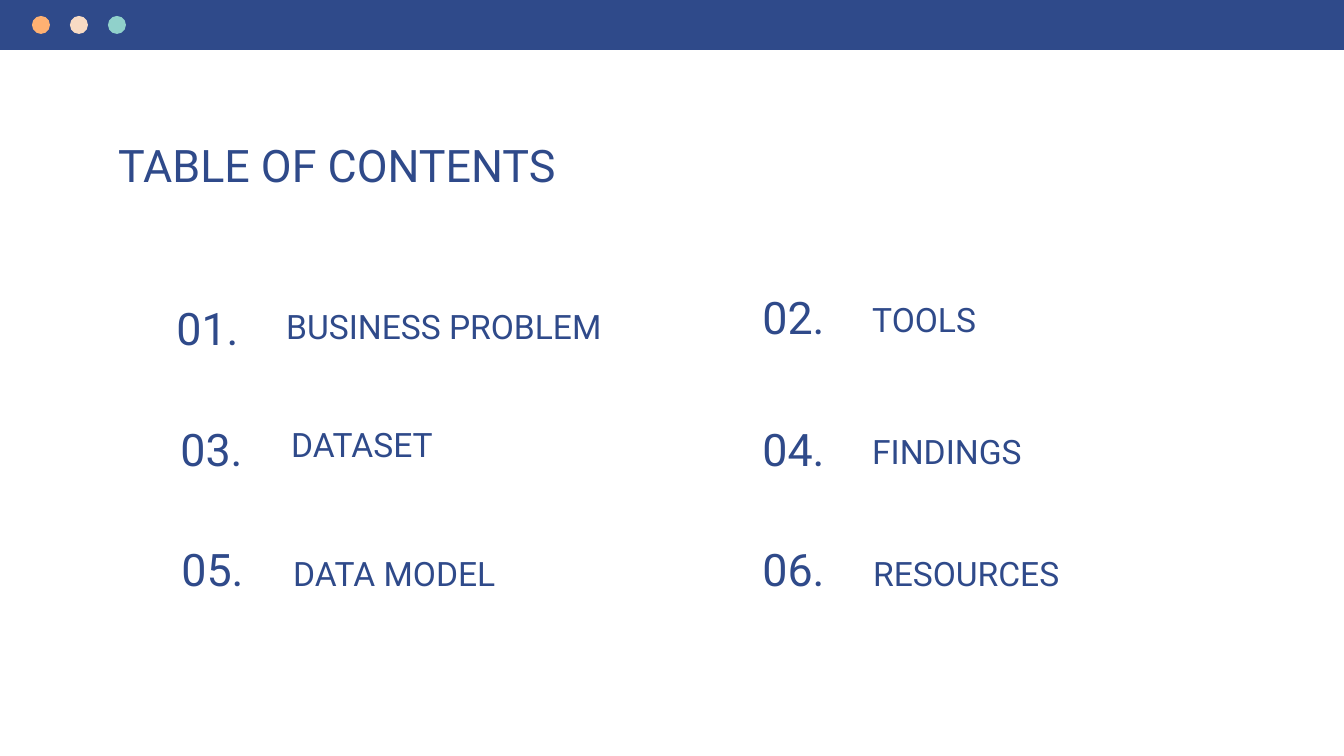
from dataclasses import dataclass

from pptx import Presentation
from pptx import util as u
from pptx.dml import color
from pptx.enum import shapes, text

EMU_PER_INCH = 914400
PX_PER_INCH = 134.4


@dataclass(frozen=True)
class Theme:
    font: str = "Roboto"
    navy: str = "2F4A8A"
    white: str = "FFFFFF"
    dots: tuple[str, ...] = ("FFB172", "F8DBC4", "90D1CB")
    heading_size: int = 24
    label_size: int = 18


@dataclass(frozen=True)
class Box:
    left: int
    top: int
    width: int
    height: int

    def emu(self) -> tuple[int, ...]:
        return tuple(px(n) for n in (self.left, self.top, self.width, self.height))


@dataclass(frozen=True)
class Entry:
    number: str
    number_at: tuple[int, int]
    label: str
    label_at: tuple[int, int]


THEME = Theme()
NUMBER_SIZE = (133, 86)
LABEL_SIZE = (400, 69)
ENTRIES = (
    Entry("01.", (141, 282), "BUSINESS PROBLEM", (273, 293)),
    Entry("02.", (727, 271), "TOOLS", (859, 286)),
    Entry("03.", (145, 403), "DATASET", (278, 411)),
    Entry("04.", (727, 403), "FINDINGS", (859, 418)),
    Entry("05.", (146, 523), "DATA MODEL", (280, 540)),
    Entry("06.", (727, 523), "RESOURCES", (860, 540)),
)


def px(length: int) -> int:
    return round(length * EMU_PER_INCH / PX_PER_INCH)


def add_filled(page, kind, box: Box, fill: str) -> None:
    shape = page.shapes.add_shape(kind, *box.emu())
    shape.shadow.inherit = False
    shape.fill.solid()
    shape.fill.fore_color.rgb = color.RGBColor.from_string(fill)
    shape.line.fill.background()


def add_text(page, box: Box, words: str, size: int,
             align=text.PP_ALIGN.LEFT, anchor=text.MSO_ANCHOR.TOP) -> None:
    frame = page.shapes.add_textbox(*box.emu()).text_frame
    frame.word_wrap = True
    frame.vertical_anchor = anchor
    frame.margin_left = frame.margin_right = u.Inches(0.1)
    frame.margin_top = frame.margin_bottom = u.Inches(0.1)
    para = frame.paragraphs[0]
    para.alignment = align
    span = para.add_run()
    span.text = words
    span.font.name = THEME.font
    span.font.size = u.Pt(size)
    span.font.color.rgb = color.RGBColor.from_string(THEME.navy)


def add_window_bar(page) -> None:
    add_filled(page, shapes.MSO_SHAPE.RECTANGLE, Box(0, 0, 1344, 50), THEME.navy)
    for index, fill in enumerate(THEME.dots):
        add_filled(page, shapes.MSO_SHAPE.OVAL, Box(32 + 38 * index, 16, 18, 18), fill)


def add_entry(page, entry: Entry) -> None:
    add_text(page, Box(*entry.number_at, *NUMBER_SIZE), entry.number,
             THEME.heading_size, text.PP_ALIGN.CENTER, text.MSO_ANCHOR.BOTTOM)
    add_text(page, Box(*entry.label_at, *LABEL_SIZE), entry.label, THEME.label_size)


def main() -> None:
    deck = Presentation()
    deck.slide_width, deck.slide_height = px(1344), px(756)
    page = deck.slides.add_slide(deck.slide_layouts[6])
    page.background.fill.solid()
    page.background.fill.fore_color.rgb = color.RGBColor.from_string(THEME.white)

    # Heading
    add_text(page, Box(105, 124, 1134, 69), "TABLE OF CONTENTS", THEME.heading_size)

    # Contents
    for entry in ENTRIES:
        add_entry(page, entry)

    # Window bar with its three dots
    add_window_bar(page)

    deck.save("out.pptx")


if __name__ == "__main__":
    main()
